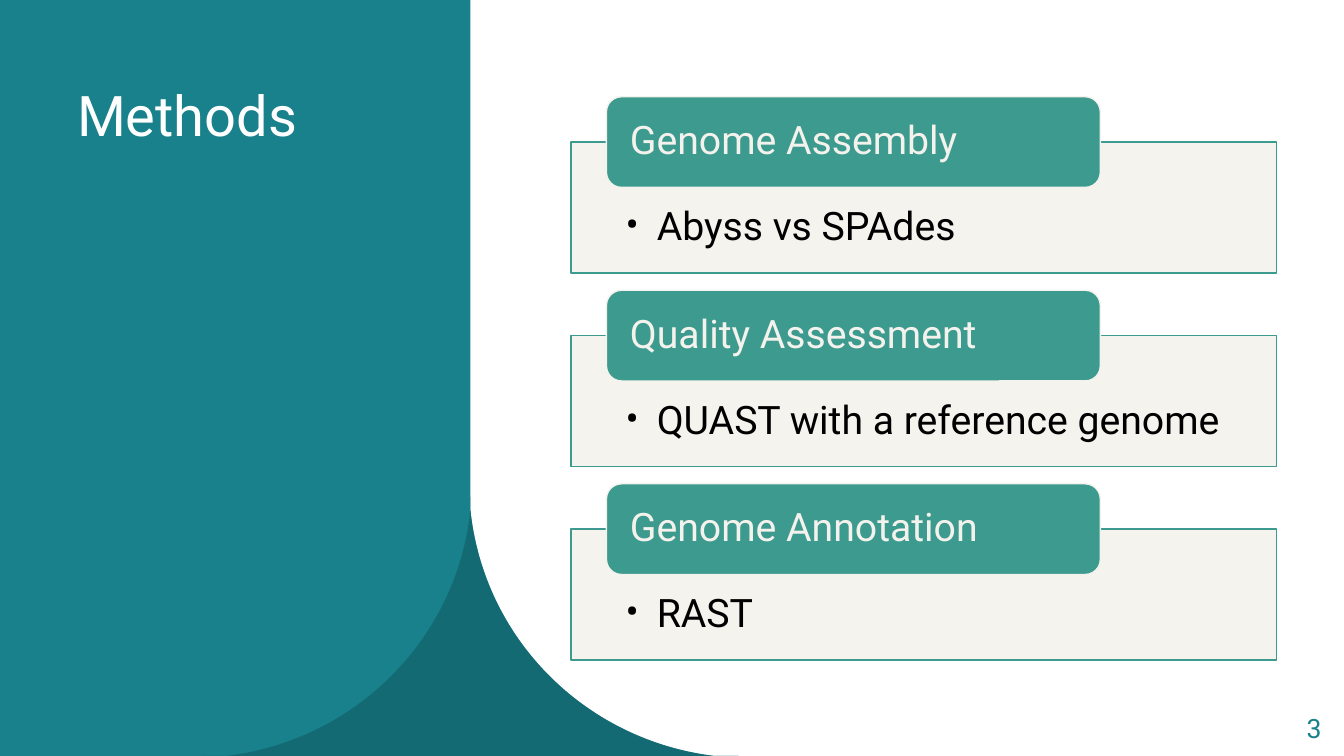
import pptx
import pptx.util
import pptx.dml.color
import pptx.enum.shapes
import pptx.enum.text
import pptx.oxml
import pptx.oxml.ns

Inches, Pt = pptx.util.Inches, pptx.util.Pt
RGBColor = pptx.dml.color.RGBColor
SHAPE = pptx.enum.shapes.MSO_SHAPE
ALIGN = pptx.enum.text.PP_ALIGN
ANCHOR = pptx.enum.text.MSO_ANCHOR
qn = pptx.oxml.ns.qn
NAMESPACE = pptx.oxml.ns.nsdecls("a")

WIDTH, HEIGHT = 40 / 3, 7.5
COLUMN = WIDTH / 40
FONT = "Roboto"
WHITE = RGBColor(0xFF, 0xFF, 0xFF)
BLACK = RGBColor(0x00, 0x00, 0x00)
TEAL = RGBColor(0x18, 0x81, 0x8C)
DARK_TEAL = RGBColor(0x12, 0x61, 0x69)
GREEN = RGBColor(0x3C, 0x9A, 0x8F)
CREAM = RGBColor(0xF4, 0xF2, 0xEC)

METHODS = [
    ("Genome Assembly", "Abyss vs SPAdes"),
    ("Quality Assessment", "QUAST with a reference genome"),
    ("Genome Annotation", "RAST"),
]


def paint(shape, fill, line=None, opacity=100):
    """Fill and outline a shape, without shadow."""
    shape.shadow.inherit = False
    shape.fill.solid()
    shape.fill.fore_color.rgb = fill
    if opacity < 100:
        colour = shape.fill._xPr.find(".//" + qn("a:srgbClr"))
        colour.append(pptx.oxml.parse_xml(
            f'<a:alpha {NAMESPACE} val="{opacity * 1000}"/>'))
    if line is None:
        shape.line.fill.background()
    else:
        shape.line.color.rgb = line
        shape.line.width = Pt(1)


def write(shape, text, size, colour, insets=(0.1, 0.05, 0.1, 0.05),
          anchor=ANCHOR.TOP, align=ALIGN.LEFT, spacing=0.9):
    """Set one paragraph; insets are left, top, right, bottom."""
    frame = shape.text_frame
    frame.word_wrap = True
    frame.vertical_anchor = anchor
    (frame.margin_left, frame.margin_top,
     frame.margin_right, frame.margin_bottom) = map(Inches, insets)
    paragraph = frame.paragraphs[0]
    paragraph.text = text
    paragraph.alignment = align
    paragraph.line_spacing = spacing
    paragraph.font.name = FONT
    paragraph.font.size = Pt(size)
    paragraph.font.color.rgb = colour
    return paragraph


def add_bullet(paragraph, indent):
    properties = paragraph._p.get_or_add_pPr()
    properties.set("marL", str(Inches(indent)))
    properties.set("indent", str(-Inches(indent)))
    defaults = properties.find(qn("a:defRPr"))
    for tag in (f'buFont {NAMESPACE} typeface="{FONT}"',
                f'buChar {NAMESPACE} char="•"'):
        defaults.addprevious(pptx.oxml.parse_xml(f"<a:{tag}/>"))


def round_off(shape, first):
    """Turn three straight segments, from the first on, into one curve."""
    path = shape._element.find(".//" + qn("a:path"))
    segments = path.findall(qn("a:lnTo"))[first:first + 3]
    curve = pptx.oxml.parse_xml(f"<a:cubicBezTo {NAMESPACE}/>")
    segments[0].addprevious(curve)
    for segment in segments:
        curve.append(segment[0])
        path.remove(segment)


def add_flare(slide, edge, half_width, height, fill, opacity):
    """A spike that spreads to both sides of the panel's edge."""
    # Offsets from the edge and the slide's bottom, as shares of the flare
    left = [(1, 0), (0.91, 0), (0.43, 0.06), (0.05, 0.45), (0, 0.95), (0, 1)]
    right = [(-x, y) for x, y in reversed(left[:-1])]
    outline = [(Inches(edge - x * half_width), Inches(HEIGHT - y * height))
               for x, y in left + right]
    builder = slide.shapes.build_freeform(*outline[0], scale=1.0)
    builder.add_line_segments(outline[1:], close=True)
    flare = builder.convert_to_shape()
    for first in (6, 1):
        round_off(flare, first)
    paint(flare, fill, opacity=opacity)


def add_backdrop(slide, width, fill):
    backdrop = slide.shapes.add_shape(
        SHAPE.RECTANGLE, 0, 0, Inches(width), Inches(HEIGHT))
    paint(backdrop, fill)


def add_title_panel(slide, title, width):
    add_backdrop(slide, width, TEAL)
    for fill, opacity in ((TEAL, 100), (DARK_TEAL, 70)):
        add_flare(slide, width, 2.66, 2.57, fill, opacity)
    heading = slide.shapes.add_textbox(
        Inches(2 * COLUMN), Inches(0.1 * HEIGHT), Inches(3.57), Inches(4.2))
    write(heading, title, 40, WHITE, spacing=1.0)


def add_method(slide, name, detail, left, top, width):
    """A bordered box with a label across its upper edge."""
    label_height, box_height = 0.9, 1.3
    box = slide.shapes.add_shape(
        SHAPE.RECTANGLE, Inches(left), Inches(top + label_height / 2),
        Inches(width), Inches(box_height))
    paint(box, CREAM, GREEN, opacity=90)
    add_bullet(write(box, detail, 28, BLACK, (0.54, 0.64, 0.54, 0.22)), 0.31)

    label = slide.shapes.add_shape(
        SHAPE.ROUNDED_RECTANGLE, Inches(left + 0.05 * width), Inches(top),
        Inches(0.7 * width), Inches(label_height))
    paint(label, GREEN, CREAM)
    write(label, name, 28, CREAM, (0.19, 0, 0.19, 0), ANCHOR.MIDDLE)


def add_methods(slide, left, top, width, pitch):
    for row, (name, detail) in enumerate(METHODS):
        add_method(slide, name, detail, left, top + row * pitch, width)


def add_page_number(slide, number):
    page = slide.shapes.add_textbox(
        Inches(12.45), Inches(7.04), Inches(0.76), Inches(0.4))
    write(page, number, 19, TEAL, anchor=ANCHOR.MIDDLE, align=ALIGN.RIGHT)


def main():
    deck = pptx.Presentation()
    deck.slide_width, deck.slide_height = Inches(WIDTH), Inches(HEIGHT)
    slide = deck.slides.add_slide(deck.slide_layouts[6])
    add_backdrop(slide, WIDTH, WHITE)
    add_title_panel(slide, "Methods", 14 * COLUMN)
    add_methods(slide, left=17 * COLUMN, top=0.96, width=7, pitch=1.92)
    add_page_number(slide, "3")
    deck.save("out.pptx")


if __name__ == "__main__":
    main()
